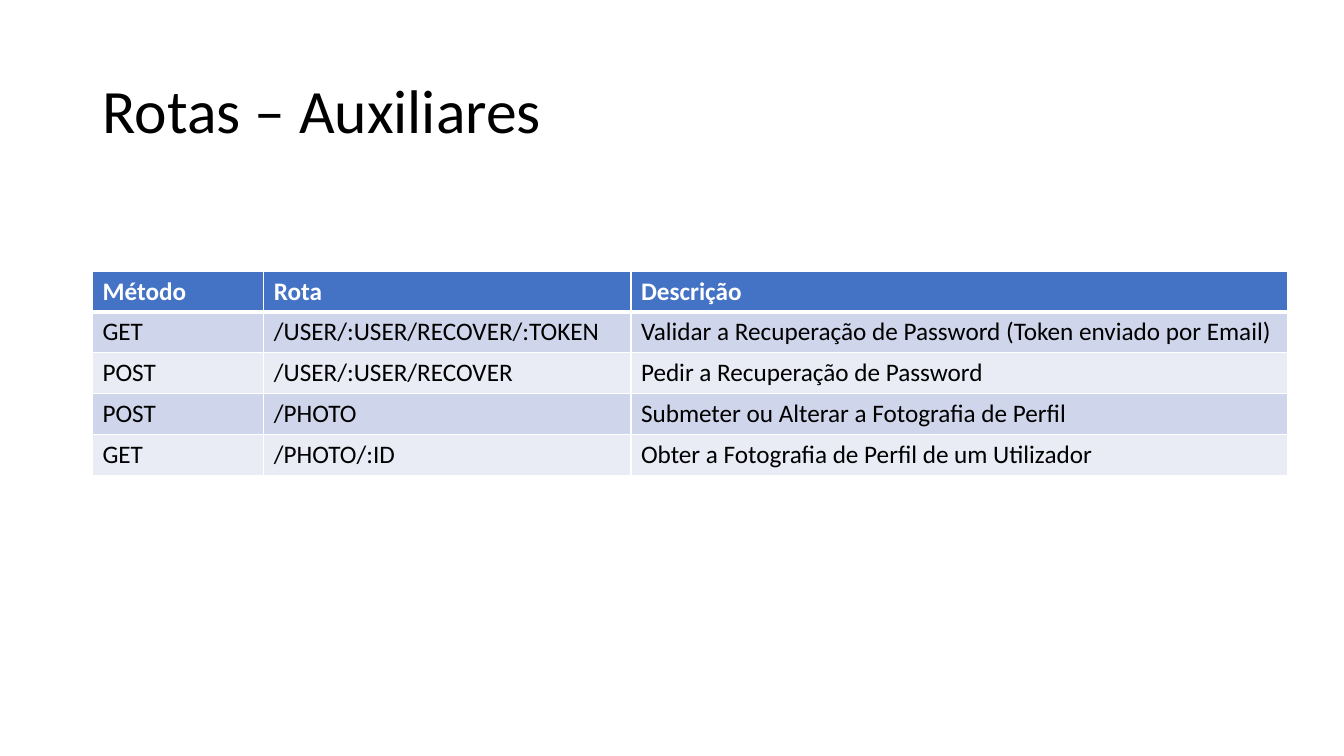
from dataclasses import dataclass

from lxml.etree import SubElement
from pptx import Presentation
from pptx.dml.color import RGBColor
from pptx.enum.text import MSO_ANCHOR, PP_ALIGN
from pptx.oxml.ns import qn
from pptx.util import Cm, Pt


@dataclass(frozen=True)
class Theme:
    font: str = "Calibri"
    title_size: int = 44
    table_size: int = 18
    ink: str = "000000"
    white: str = "FFFFFF"
    header: str = "4472C4"
    bands: tuple[str, str] = ("CFD5EA", "E9EBF5")
    thin_border: int = 1
    thick_border: int = 3


@dataclass(frozen=True)
class Route:
    method: str
    address: str
    description: str


THEME = Theme()
COLUMN_WIDTHS = (4.32, 9.25, 16.54)
ROW_HEIGHT = 1.03
HEADINGS = Route("Método", "Rota", "Descrição")
ROUTES = (
    Route("GET", "/USER/:USER/RECOVER/:TOKEN",
          "Validar a Recuperação de Password (Token enviado por Email)"),
    Route("POST", "/USER/:USER/RECOVER", "Pedir a Recuperação de Password"),
    Route("POST", "/PHOTO", "Submeter ou Alterar a Fotografia de Perfil"),
    Route("GET", "/PHOTO/:ID", "Obter a Fotografia de Perfil de um Utilizador"),
)


def style_paragraph(paragraph, size: int, colour: str, bold: bool = False) -> None:
    font = paragraph.font
    font.name = THEME.font
    font.size = Pt(size)
    font.bold = bold
    font.color.rgb = RGBColor.from_string(colour)


def add_borders(cell, top: int, bottom: int) -> None:
    """Add white borders; call before the fill, which must follow them."""
    properties = cell._tc.get_or_add_tcPr()
    thin = THEME.thin_border
    for side, width in (("L", thin), ("R", thin), ("T", top), ("B", bottom)):
        line = SubElement(properties, qn(f"a:ln{side}"), w=str(Pt(width)))
        fill = SubElement(line, qn("a:solidFill"))
        SubElement(fill, qn("a:srgbClr"), val=THEME.white)


def add_title(page, text: str) -> None:
    title = page.shapes.title
    title.left, title.top = Cm(2.33), Cm(1.01)
    title.width, title.height = Cm(29.21), Cm(3.68)
    frame = title.text_frame
    frame.text = text
    frame.vertical_anchor = MSO_ANCHOR.MIDDLE
    paragraph = frame.paragraphs[0]
    paragraph.alignment = PP_ALIGN.LEFT
    paragraph.line_spacing = 0.9
    style_paragraph(paragraph, THEME.title_size, THEME.ink)


def fill_row(table, index: int, route: Route) -> None:
    is_header = index == 0
    background = THEME.header if is_header else THEME.bands[(index - 1) % 2]
    colour = THEME.white if is_header else THEME.ink
    # The line below the header is shared with the first route
    top = THEME.thick_border if index == 1 else THEME.thin_border
    bottom = THEME.thick_border if is_header else THEME.thin_border
    texts = (route.method, route.address, route.description)
    for cell, text in zip(table.rows[index].cells, texts):
        cell.text = text
        style_paragraph(cell.text_frame.paragraphs[0], THEME.table_size, colour, is_header)
        add_borders(cell, top, bottom)
        cell.fill.solid()
        cell.fill.fore_color.rgb = RGBColor.from_string(background)


def add_route_table(page) -> None:
    rows = (HEADINGS, *ROUTES)
    table = page.shapes.add_table(
        len(rows), len(COLUMN_WIDTHS), Cm(2.33), Cm(6.83),
        Cm(sum(COLUMN_WIDTHS)), Cm(ROW_HEIGHT * len(rows))).table
    for column, width in zip(table.columns, COLUMN_WIDTHS):
        column.width = Cm(width)
    for index, route in enumerate(rows):
        table.rows[index].height = Cm(ROW_HEIGHT)
        fill_row(table, index, route)


def main() -> None:
    # Widescreen deck with a title-only page
    deck = Presentation()
    deck.slide_width, deck.slide_height = Cm(33.87), Cm(19.05)
    page = deck.slides.add_slide(deck.slide_layouts[5])
    add_title(page, "Rotas – Auxiliares")
    add_route_table(page)
    deck.save("out.pptx")


if __name__ == "__main__":
    main()
